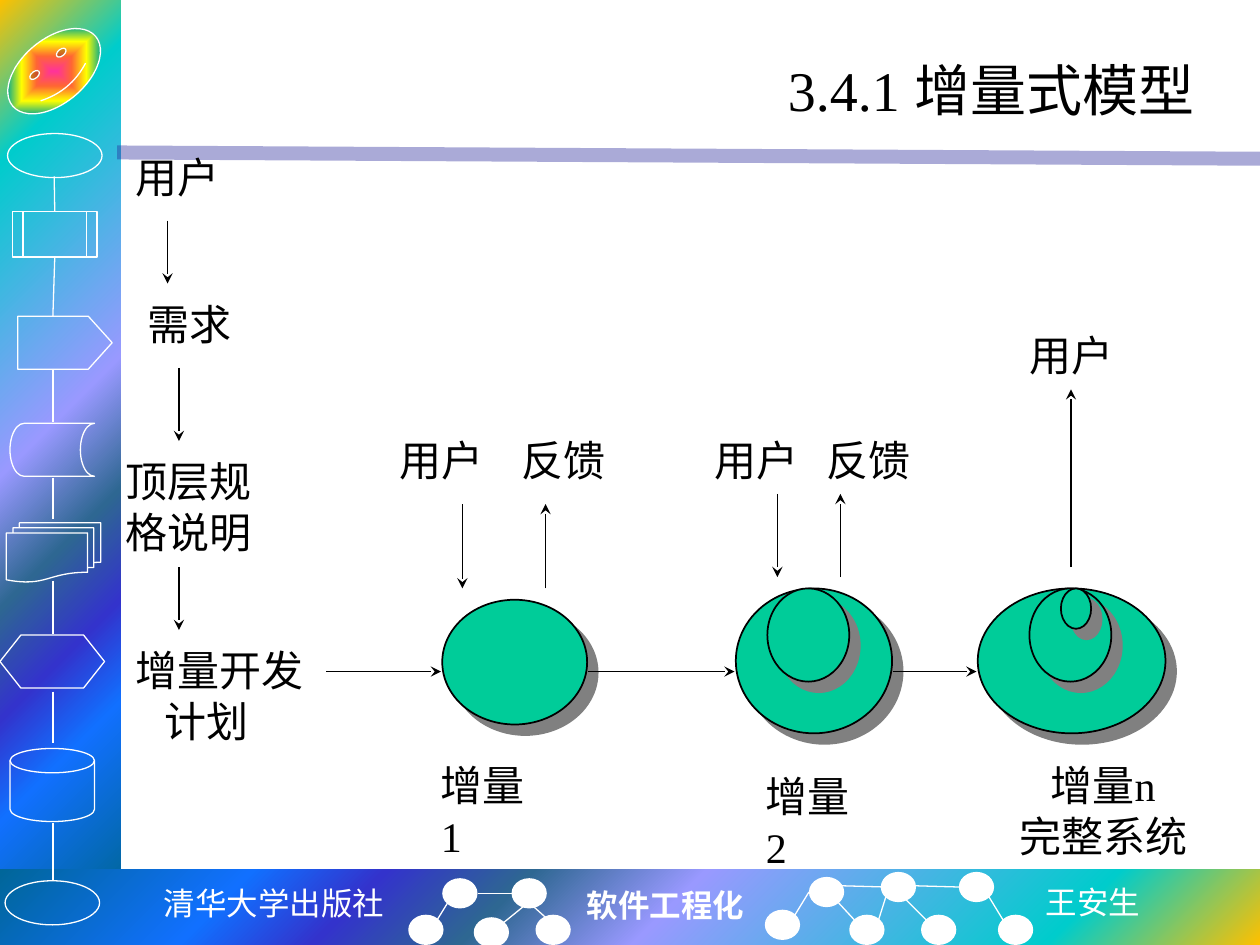
from lxml.etree import SubElement
from pptx import Presentation
from pptx.dml.color import RGBColor
from pptx.enum.shapes import MSO_CONNECTOR, MSO_SHAPE
from pptx.enum.text import MSO_ANCHOR, PP_ALIGN
from pptx.oxml import parse_xml
from pptx.oxml.ns import nsdecls, qn
from pptx.util import Inches, Pt

COLORS = {"black": "000000", "white": "FFFFFF", "green": "00CC99",
          "shadow": "808080", "rule": "262699"}
BAND_STOPS = [(0, "FFC000"), (16, "00CCCC"), (47, "9999FF"), (60, "2E6792"),
              (71, "3333CC"), (81, "1170FF"), (100, "006699")]
BADGE_STOPS = [(0, "FF3399"), (25, "FF6633"), (50, "FFFF00"),
               (75, "01A78F"), (100, "3366FF")]
SERIF, CJK = "Times New Roman", "Noto Sans CJK SC"


def rgb(name):
    """Return the palette colour of that name."""
    return RGBColor.from_string(COLORS[name])


def add_shape(slide, kind, box, fill=None, line=None, width=0.75):
    """Add a preset shape with a plain fill and outline, or none."""
    s = slide.shapes.add_shape(kind, *map(Inches, box))
    s.shadow.inherit = False
    if fill:
        s.fill.solid()
        s.fill.fore_color.rgb = rgb(fill)
    else:
        s.fill.background()
    if line:
        s.line.color.rgb = rgb(line)
        s.line.width = Pt(width)
    else:
        s.line.fill.background()
    return s


def set_gradient(s, stops, path, focus):
    """Replace the fill by a path gradient around the focus rectangle."""
    spPr = s._element.spPr
    spPr.remove(spPr.find(qn("a:noFill")))
    gs = "".join(f'<a:gs pos="{pos * 1000}"><a:srgbClr val="{color}"/></a:gs>'
                 for pos, color in stops)
    rect = " ".join(f'{side}="{v * 1000}"' for side, v in zip("ltrb", focus))
    spPr.insert(2, parse_xml(
        f'<a:gradFill {nsdecls("a")} rotWithShape="1"><a:gsLst>{gs}</a:gsLst>'
        f'<a:path path="{path}"><a:fillToRect {rect}/></a:path></a:gradFill>'))


def add_increment(slide, box):
    """Add a green ellipse with a hard offset shadow."""
    s = add_shape(slide, MSO_SHAPE.OVAL, box, "green", "black", 1)
    effects = s._element.spPr.find(qn("a:effectLst"))
    shadow = SubElement(effects, qn("a:outerShdw"), dist=str(Pt(8.5)),
                        dir="2700000", algn="ctr", rotWithShape="0")
    SubElement(shadow, qn("a:srgbClr"), val=COLORS["shadow"])


def add_line(slide, x1, y1, x2, y2, color="white", width=0.75, arrow=False):
    """Add a straight connector, with a stealth head at its end on request."""
    c = slide.shapes.add_connector(MSO_CONNECTOR.STRAIGHT,
                                   *map(Inches, (x1, y1, x2, y2)))
    c.line.color.rgb = rgb(color)
    c.line.width = Pt(width)
    if arrow:
        SubElement(c.line._get_or_add_ln(), qn("a:tailEnd"), type="stealth")
    SubElement(c._element.spPr, qn("a:effectLst"))
    return c


def add_run(p, text, size, color="black", font=SERIF, bold=False):
    """Add one formatted run to a paragraph."""
    r = p.add_run()
    r.text = text
    r.font.size = Pt(size)
    r.font.bold = bold
    r.font.color.rgb = rgb(color)
    r.font.name = font
    SubElement(r._r.get_or_add_rPr(), qn("a:ea"), typeface=CJK)


def add_text(slide, box, lines, size=24, align=PP_ALIGN.LEFT, wrap=False, **style):
    """Add a text box with one paragraph per line."""
    tf = slide.shapes.add_textbox(*map(Inches, box)).text_frame
    tf.word_wrap = wrap
    for i, line in enumerate(lines):
        p = tf.paragraphs[0] if i == 0 else tf.add_paragraph()
        p.alignment = align
        add_run(p, line, size, **style)
    return tf


def add_title(slide, text):
    """Place and fill the title placeholder."""
    s = slide.shapes.title
    s.left, s.top, s.width, s.height = map(Inches, (1.08, 0.25, 8.5, 0.92))
    tf = s.text_frame
    tf.vertical_anchor = MSO_ANCHOR.MIDDLE
    p = tf.paragraphs[0]
    p.alignment = PP_ALIGN.RIGHT
    add_run(p, text, 32)


def add_bands(slide):
    """Add the gradient side and bottom bands and the title rule."""
    for box, focus in [((0, 0, 0.96, 7.09), (0, 0, 100, 100)),
                       ((0, 6.9, 10, 0.6), (100, 100, 0, 0))]:
        set_gradient(add_shape(slide, MSO_SHAPE.RECTANGLE, box),
                     BAND_STOPS, "circle", focus)
    rule = add_line(slide, 0.93, 1.21, 10, 1.26, "rule", 8)
    color = rule._element.spPr.find(".//" + qn("a:srgbClr"))
    SubElement(color, qn("a:alpha"), val="39000")


def add_sidebar(slide):
    """Add the badge and the outlined flowchart on the side band."""
    badge = add_shape(slide, MSO_SHAPE.SMILEY_FACE, (0, 0.31, 0.86, 0.51),
                      line="white")
    badge.adjustments[0] = 0.047
    badge.rotation = -40
    set_gradient(badge, BADGE_STOPS, "shape", (50, 50, 50, 50))
    process = add_shape(slide, MSO_SHAPE.FLOWCHART_PREDEFINED_PROCESS,
                        (0.1, 1.68, 0.67, 0.36), line="white")
    tag = add_shape(slide, MSO_SHAPE.PENTAGON, (0.14, 2.51, 0.75, 0.42), line="white")
    tag.adjustments[0] = 0.45
    for kind, box in [
            (MSO_SHAPE.OVAL, (0.06, 1.06, 0.75, 0.35)),
            (MSO_SHAPE.FLOWCHART_STORED_DATA, (0.08, 3.36, 0.67, 0.42)),
            (MSO_SHAPE.FLOWCHART_MULTIDOCUMENT, (0.05, 4.15, 0.75, 0.47)),
            (MSO_SHAPE.FLOWCHART_PREPARATION, (0, 5.04, 0.83, 0.42)),
            (MSO_SHAPE.FLOWCHART_MAGNETIC_DISK, (0.08, 5.94, 0.67, 0.58)),
            (MSO_SHAPE.OVAL, (0.04, 6.99, 0.75, 0.35))]:
        add_shape(slide, kind, box, line="white")
    add_line(slide, 0.43, 1.4, 0.43, 1.68).end_connect(process, 0)
    add_line(slide, 0.43, 2.05, 0.42, 2.51).begin_connect(process, 2)
    for top, bottom in [(2.93, 3.35), (3.79, 4.12), (4.61, 5.03),
                        (5.49, 5.9), (6.53, 6.99)]:
        add_line(slide, 0.42, top, 0.42, bottom)


def add_footer(slide):
    """Add the footer texts and the white node graphs between them."""
    add_text(slide, (1.19, 6.97, 1.97, 0.4), ["清华大学出版社"], 18,
             PP_ALIGN.CENTER, color="white", font="Courier New")
    add_text(slide, (4.56, 6.98, 1.46, 0.4), ["软件工程化"], 18,
             color="white", bold=True)
    add_text(slide, (8.2, 6.96, 0.96, 0.4), ["王安生"], 18, color="white", font=CJK)
    for x, y in [(3.51, 6.97), (4.06, 6.97), (3.24, 7.26), (3.76, 7.28),
                 (4.25, 7.26), (6.42, 6.96), (6.99, 6.92), (7.61, 6.92),
                 (6.07, 7.22), (6.74, 7.26), (7.31, 7.26), (7.92, 7.26)]:
        add_shape(slide, MSO_SHAPE.OVAL, (x, y, 0.28, 0.24), "white")
    for ends in [(3.47, 7.3, 3.55, 7.17), (4, 7.32, 4.16, 7.19),
                 (4.06, 7.09, 3.79, 7.09), (4.34, 7.29, 4.24, 7.2),
                 (6.31, 7.26, 6.42, 7.08), (6.78, 7.3, 6.65, 7.16),
                 (6.97, 7.31, 7.03, 7.12), (7.35, 7.3, 7.15, 7.1),
                 (7.96, 7.3, 7.85, 7.12), (6.68, 7.03, 7.03, 7.04),
                 (7.26, 7.03, 7.61, 7.04)]:
        add_line(slide, *ends)


def add_model(slide):
    """Add the increments, their arrows and their labels."""
    for box in [(5.84, 4.67, 1.24, 1.15), (7.76, 4.67, 1.49, 1.15),
                (8.17, 4.67, 0.65, 0.74), (8.42, 4.67, 0.24, 0.32),
                (6.09, 4.67, 0.65, 0.74), (3.51, 4.76, 1.15, 0.99)]:
        add_increment(slide, box)
    for x, start, end in [(1.33, 1.75, 2.25), (1.42, 2.92, 3.5), (1.42, 4.5, 5),
                          (3.67, 4, 4.67), (4.33, 4.67, 4), (6.17, 3.92, 4.58),
                          (6.67, 4.58, 3.92), (8.5, 4.5, 3.09)]:
        add_line(slide, x, start, x, end, "black", 1, True)
    for start, end in [(2.59, 3.5), (4.67, 5.83), (7.09, 7.75)]:
        add_line(slide, start, 5.33, end, 5.33, "black", 1, True)
    for x, y, word in [(0.98, 1.15, "用户"), (1.07, 2.32, "需求"),
                       (3.07, 3.4, "用户"), (4.04, 3.4, "反馈"),
                       (5.57, 3.4, "用户"), (6.46, 3.4, "反馈"),
                       (8.07, 2.57, "用户")]:
        add_text(slide, (x, y, 0.87, 0.5), [word])
    add_text(slide, (0.9, 3.57, 1.2, 0.9), ["顶层规", "格说明"])
    plan = add_text(slide, (0.98, 5.07, 1.53, 0.9), ["增量开发", "计划"])
    plan.paragraphs[1]._p.get_or_add_pPr().set("marL", str(Inches(0.23)))
    add_text(slide, (3.4, 5.98, 1, 0.9), ["增量1"], wrap=True)
    add_text(slide, (5.98, 6.07, 1, 0.9), ["增量2"], wrap=True)
    add_text(slide, (7.98, 5.98, 1.55, 0.91), ["增量n", "完整系统"],
             align=PP_ALIGN.CENTER)


def main():
    """Build the slide and save it."""
    prs = Presentation()
    prs.slide_width, prs.slide_height = Inches(10), Inches(7.5)
    slide = prs.slides.add_slide(prs.slide_layouts[5])
    add_bands(slide)
    add_sidebar(slide)
    add_footer(slide)
    add_title(slide, "3.4.1 增量式模型")
    add_model(slide)
    prs.save("out.pptx")


if __name__ == "__main__":
    main()
